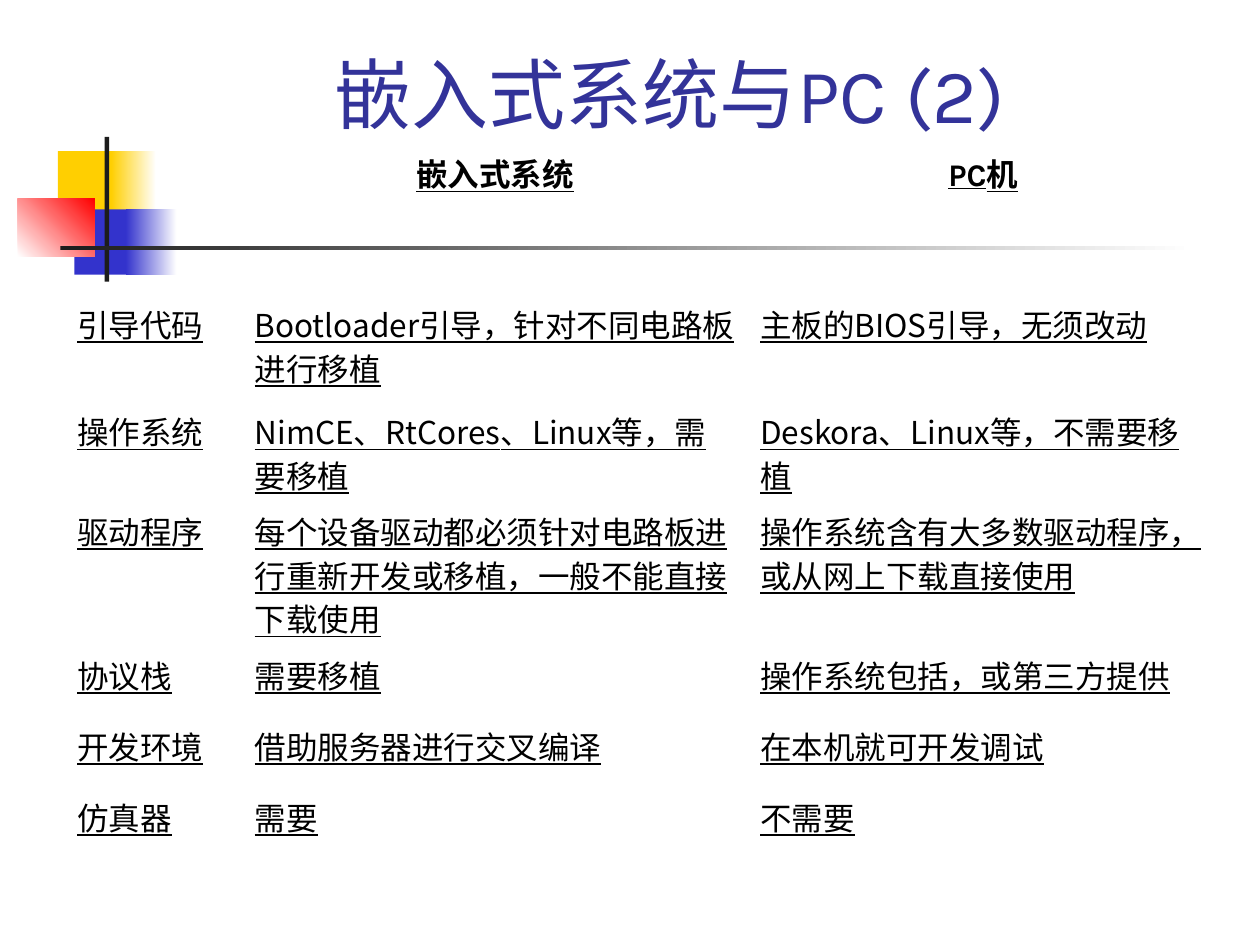
import pptx
import pptx.dml.color
import pptx.enum.shapes
import pptx.enum.text
import pptx.oxml.ns
import pptx.util
from lxml import etree

Cm = pptx.util.Cm
Pt = pptx.util.Pt
qn = pptx.oxml.ns.qn

LATIN_FONT = "Karla"
CHINESE_FONT = "Noto Sans CJK SC"
BLACK, WHITE, CHARCOAL = "000000", "FFFFFF", "1C1C1C"
YELLOW, BLUE, RED, TITLE_BLUE = "FFCF01", "3333CC", "FF0000", "333399"

TITLE = "嵌入式系统与PC (2)"
HEADER = ["", "嵌入式系统", "PC机"]
ROWS = [
    ["引导代码", "Bootloader引导，针对不同电路板进行移植", "主板的BIOS引导，无须改动"],
    ["操作系统", "NimCE、RtCores、Linux等，需要移植", "Deskora、Linux等，不需要移植"],
    ["驱动程序", "每个设备驱动都必须针对电路板进行重新开发或移植，一般不能直接下载使用",
     "操作系统含有大多数驱动程序，或从网上下载直接使用"],
    ["协议栈", "需要移植", "操作系统包括，或第三方提供"],
    ["开发环境", "借助服务器进行交叉编译", "在本机就可开发调试"],
    ["仿真器", "需要", "不需要"],
]
COLUMN_WIDTHS = [3.58, 10.19, 9.5]
ROW_HEIGHTS = [3.05, 2.16, 2.01, 2.9, 1.43, 1.43, 1.35]

# left, top, width, height in cm; start colour, end colour, angle
ORNAMENTS = [
    (1.17, 3.05, 1.22, 1.32, YELLOW, YELLOW, 0),
    (2.24, 3.05, 0.91, 1.32, YELLOW, WHITE, 0),
    (1.5, 4.22, 1.17, 1.32, BLUE, BLUE, 0),
    (2.54, 4.22, 1.02, 1.32, BLUE, WHITE, 0),
    (0.36, 4.01, 1.55, 1.17, WHITE, RED, 45),
    (2.11, 2.76, 0.09, 2.92, CHARCOAL, CHARCOAL, 0),
    (1.22, 4.95, 22.86, 0.09, CHARCOAL, WHITE, 0),
]


def color(value):
    return pptx.dml.color.RGBColor.from_string(value)


def add_ornament(slide, left, top, width, height, start, end, angle):
    shape = slide.shapes.add_shape(
        pptx.enum.shapes.MSO_SHAPE.RECTANGLE, Cm(left), Cm(top), Cm(width), Cm(height))
    shape.shadow.inherit = False
    shape.line.fill.background()
    if start == end:
        shape.fill.solid()
        shape.fill.fore_color.rgb = color(start)
        return
    shape.fill.gradient()
    shape.fill.gradient_angle = angle
    for stop, value in zip(shape.fill.gradient_stops, (start, end)):
        stop.color.rgb = color(value)


def write(paragraph, text, size, font_name, value, bold=False, underline=False):
    run = paragraph.add_run()
    run.text = text
    font = run.font
    font.size = Pt(size)
    font.bold = bold
    font.underline = underline
    font.color.rgb = color(value)
    font.name = font_name
    east_asian = etree.Element(qn("a:ea"), typeface=CHINESE_FONT)
    run._r.rPr.find(qn("a:latin")).addnext(east_asian)


def clear_cell(cell):
    """Remove the fill and the borders that the table style gives."""
    cell.fill.background()
    properties = cell._tc.get_or_add_tcPr()
    for position, side in enumerate(("a:lnL", "a:lnR", "a:lnT", "a:lnB")):
        border = etree.Element(qn(side), w="0")
        etree.SubElement(border, qn("a:noFill"))
        properties.insert(position, border)


def add_title(slide):
    box = slide.shapes.add_textbox(Cm(6.5), Cm(0.81), Cm(17.88), Cm(2.13))
    frame = box.text_frame
    frame.word_wrap = True
    frame.vertical_anchor = pptx.enum.text.MSO_ANCHOR.MIDDLE
    write(frame.paragraphs[0], TITLE, 44, LATIN_FONT, TITLE_BLUE)


def add_comparison(slide):
    table = slide.shapes.add_table(
        len(ROW_HEIGHTS), len(COLUMN_WIDTHS), Cm(1.3), Cm(2.92),
        Cm(sum(COLUMN_WIDTHS)), Cm(sum(ROW_HEIGHTS))).table
    table.first_row = table.horz_banding = False
    for column, width in zip(table.columns, COLUMN_WIDTHS):
        column.width = Cm(width)
    for row, height in zip(table.rows, ROW_HEIGHTS):
        row.height = Cm(height)
    for row_index, texts in enumerate([HEADER] + ROWS):
        is_header = row_index == 0
        for column_index, text in enumerate(texts):
            cell = table.cell(row_index, column_index)
            clear_cell(cell)
            if not text:
                continue
            paragraph = cell.text_frame.paragraphs[0]
            paragraph.line_spacing = 0.98 if is_header else 0.96
            if is_header:
                paragraph.alignment = pptx.enum.text.PP_ALIGN.CENTER
            write(paragraph, text, 18, LATIN_FONT if is_header else CHINESE_FONT,
                  BLACK, bold=is_header, underline=True)


def main():
    presentation = pptx.Presentation()
    presentation.slide_width, presentation.slide_height = Cm(25.4), Cm(19.05)
    slide = presentation.slides.add_slide(presentation.slide_layouts[6])
    for ornament in ORNAMENTS:
        add_ornament(slide, *ornament)
    add_title(slide)
    add_comparison(slide)
    presentation.save("out.pptx")


if __name__ == "__main__":
    main()
